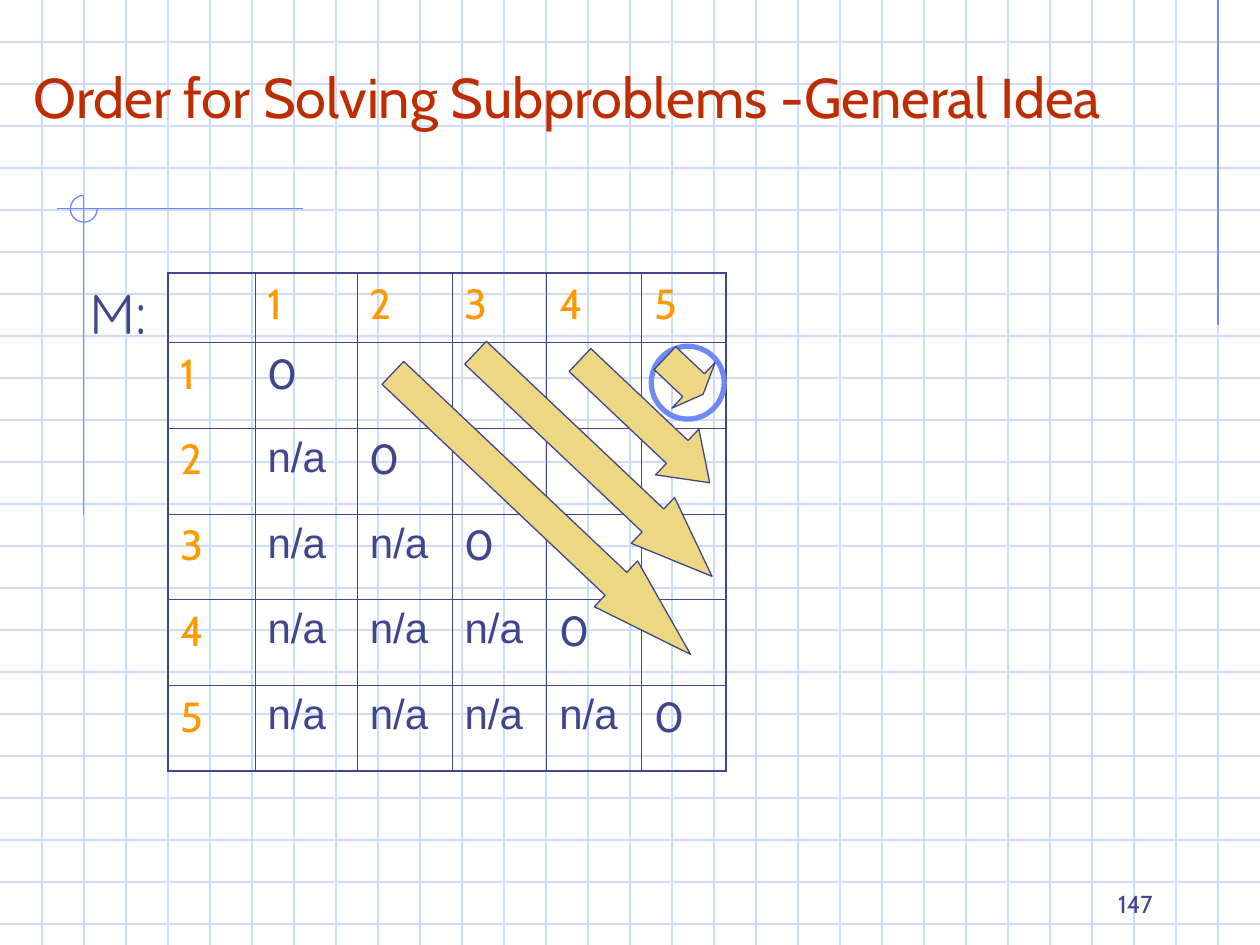
import lxml.etree
import pptx
import pptx.dml.color
import pptx.enum.shapes
import pptx.enum.text
import pptx.oxml.ns
import pptx.util

Cm, Pt = pptx.util.Cm, pptx.util.Pt
Shape = pptx.enum.shapes.MSO_SHAPE
Align = pptx.enum.text.PP_ALIGN
Anchor = pptx.enum.text.MSO_ANCHOR
AutoSize = pptx.enum.text.MSO_AUTO_SIZE
qn = pptx.oxml.ns.qn

COLORS = {
    "grid": "CFDBFD", "accent": "6F89F7", "title": "BE2D00",
    "ink": "40458C", "index": "FF9900", "arrow": "ECD882",
}
SLIDE_W, SLIDE_H = 25.4, 19.05
GRID_STEP = 2.54 / 3
COLUMN_WIDTHS = [1.75, 2.06, 1.91, 1.91, 1.91, 1.7]
ROW_HEIGHTS = [1.4] + [1.73] * 5


def rgb(name):
    """Return the named colour."""
    return pptx.dml.color.RGBColor.from_string(COLORS[name])


def style(paragraph, size, color, font="Cabin", align=Align.LEFT):
    """Format a paragraph."""
    paragraph.alignment = align
    paragraph.font.size = Pt(size)
    paragraph.font.name = font
    paragraph.font.color.rgb = rgb(color)


def add_line(slide, x1, y1, x2, y2, color):
    """Draw a thin straight line without a shadow."""
    line = slide.shapes.add_connector(
        pptx.enum.shapes.MSO_CONNECTOR.STRAIGHT, Cm(x1), Cm(y1), Cm(x2), Cm(y2))
    line.line.color.rgb = rgb(color)
    line.line.width = Pt(0.75)
    lxml.etree.SubElement(line._element.spPr, qn("a:effectLst"))


def add_outline(slide, kind, box, color, width, fill=None):
    """Draw a preset shape with an outline and an optional fill."""
    shape = slide.shapes.add_shape(kind, *map(Cm, box))
    shape.shadow.inherit = False
    if fill:
        shape.fill.solid()
        shape.fill.fore_color.rgb = rgb(fill)
    else:
        shape.fill.background()
    shape.line.color.rgb = rgb(color)
    shape.line.width = Pt(width)
    return shape


def add_graph_paper(slide, width, height):
    """Rule the page with evenly spaced lines."""
    for i in range(1, int(height / GRID_STEP) + 1):
        add_line(slide, 0, i * GRID_STEP, width, i * GRID_STEP, "grid")
    for i in range(1, round(width / GRID_STEP)):
        add_line(slide, i * GRID_STEP, 0, i * GRID_STEP, height, "grid")


def add_axes(slide, x, y):
    """Draw the accent lines and the open circle around their crossing."""
    add_line(slide, SLIDE_W - GRID_STEP, 0, SLIDE_W - GRID_STEP, 6.55, "accent")
    add_line(slide, x + 4.41, y, x - 0.55, y, "accent")
    add_line(slide, x, y - 0.27, x, y + 6.18, "accent")
    circle = add_outline(slide, Shape.ARC, (x - 0.27, y - 0.27, 0.54, 0.54), "accent", 0.75)
    circle.adjustments[0] = 0
    circle.adjustments[1] = 270 * 0.6


def place_title(slide, box):
    """Fill the title placeholder and bring it in front of the grid."""
    title = slide.shapes.title
    title.left, title.top, title.width, title.height = map(Cm, box)
    title.element.getparent().append(title.element)
    frame = title.text_frame
    frame.text = "Order for Solving Subproblems -General Idea"
    frame.auto_size = AutoSize.NONE
    frame.vertical_anchor = Anchor.BOTTOM
    style(frame.paragraphs[0], 32, "title")


def set_borders(cell, widths):
    """Give the sides of a cell, in the order L, R, T, B, their line widths."""
    properties = cell._tc.get_or_add_tcPr()
    for i, (side, width) in enumerate(zip("LRTB", widths)):
        border = lxml.etree.Element(qn(f"a:ln{side}"), w=str(Pt(width)))
        fill = lxml.etree.SubElement(border, qn("a:solidFill"))
        lxml.etree.SubElement(fill, qn("a:srgbClr"), val=COLORS["ink"])
        properties.insert(i, border)


def entry(row, column):
    """Return the text, colour and font of a cell of the matrix."""
    if row == 0 or column == 0:
        return str(row + column or ""), "index", "Cabin"
    if row == column:
        return "0", "ink", "Cabin"
    return ("n/a" if row > column else ""), "ink", "Arial"


def add_matrix(slide, x, y):
    """Build the matrix of subproblems."""
    n = len(ROW_HEIGHTS)
    frame = slide.shapes.add_table(
        n, n, Cm(x), Cm(y), Cm(sum(COLUMN_WIDTHS)), Cm(sum(ROW_HEIGHTS)))
    matrix = frame.table
    matrix.first_row = matrix.horz_banding = False
    for column, width in zip(matrix.columns, COLUMN_WIDTHS):
        column.width = Cm(width)
    for row, height in zip(matrix.rows, ROW_HEIGHTS):
        row.height = Cm(height)
    for r in range(n):
        for c in range(n):
            cell = matrix.cell(r, c)
            text, color, font = entry(r, c)
            cell.text = text
            cell.fill.background()
            style(cell.text_frame.paragraphs[0], 24, color, font)
            edges = (c == 0, c == n - 1, r == 0, r == n - 1)
            set_borders(cell, [1.08 if edge else 0.45 for edge in edges])


def add_diagonals(slide, x, y):
    """Mark the last entry and lay an arrow along each diagonal, from the matrix corner."""
    add_outline(slide, Shape.OVAL, (x + 9.74, y + 1.48, 1.47, 1.47), "accent", 3)
    thickness = 1.27
    arrows = [(3.4, 4.22, 8.26, 1.63), (5.3, 3.23, 6.56, 1.29),
              (7.81, 2.36, 3.6, 0.71), (9.87, 1.45, 1.06, 0.25)]
    for dx, dy, length, head in arrows:
        arrow = add_outline(slide, Shape.RIGHT_ARROW,
                            (x + dx, y + dy, length, thickness), "ink", 0.75, "arrow")
        arrow.rotation = 43.4
        arrow.adjustments[0] = 0.5
        arrow.adjustments[1] = head


def add_label(slide, box, text, size, font, align=Align.LEFT, anchor=Anchor.TOP, wrap=True):
    """Add a one-line text box."""
    label = slide.shapes.add_textbox(*map(Cm, box))
    frame = label.text_frame
    frame.text = text
    frame.word_wrap = wrap
    frame.vertical_anchor = anchor
    style(frame.paragraphs[0], size, "ink", font, align)


def main():
    """Build and save the slide."""
    deck = pptx.Presentation()
    deck.slide_width, deck.slide_height = Cm(SLIDE_W), Cm(SLIDE_H)
    slide = deck.slides.add_slide(deck.slide_layouts[5])
    matrix_x, matrix_y = 3.39, 5.5
    add_graph_paper(slide, SLIDE_W, SLIDE_H)
    add_axes(slide, 1.69, 4.21)
    place_title(slide, (0.42, 0.85, 24.98, 1.9))
    add_matrix(slide, matrix_x, matrix_y)
    add_label(slide, (matrix_x - 1.84, matrix_y, 1.84, 1.62), "M:", 32, "Quicksand", wrap=False)
    add_diagonals(slide, matrix_x, matrix_y)
    add_label(slide, (18.2, 17.36, 5.29, 1.27), "147", 14, "Cabin", Align.RIGHT, Anchor.BOTTOM)
    deck.save("out.pptx")


if __name__ == "__main__":
    main()
